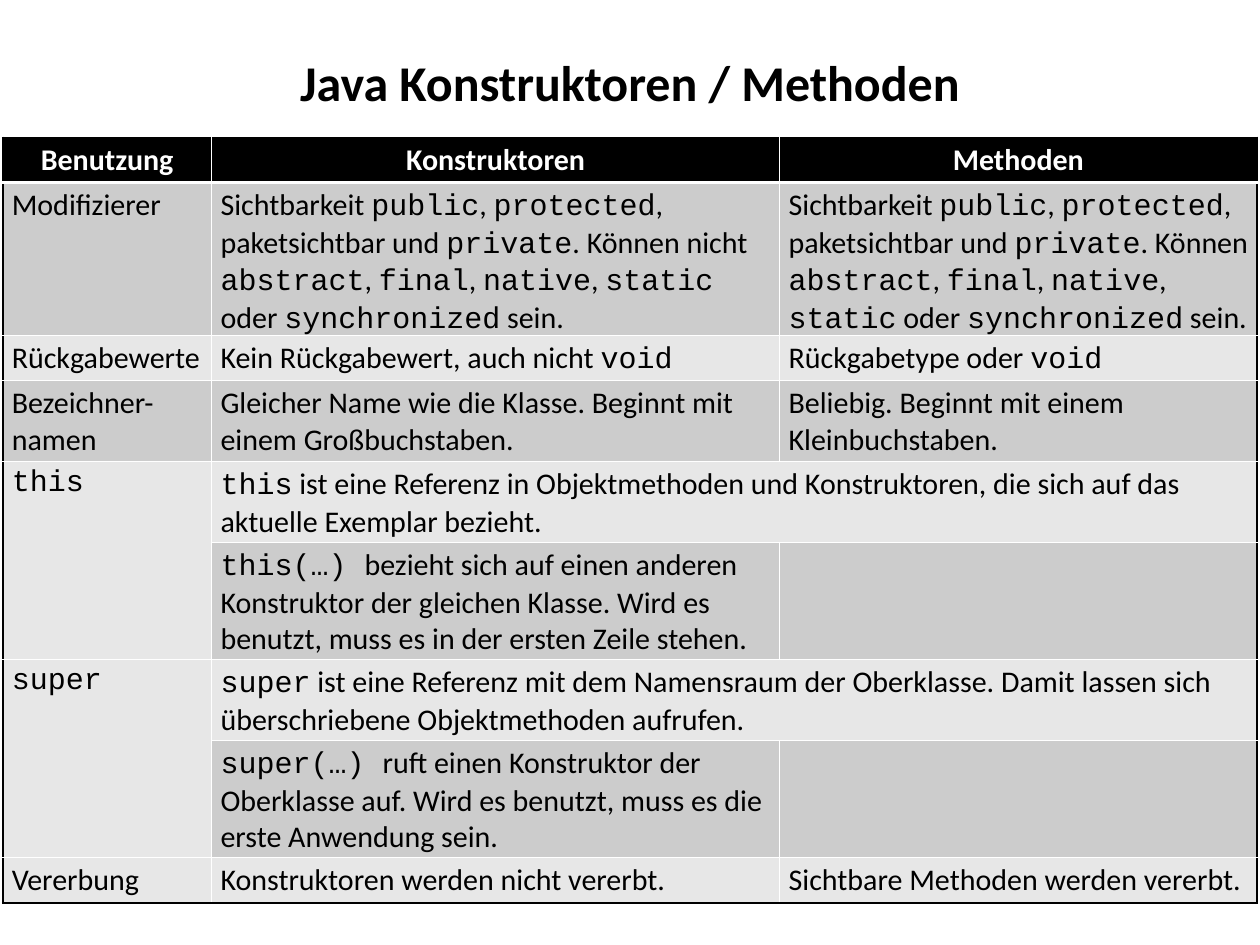
from lxml import etree
from pptx import Presentation
from pptx.dml.color import RGBColor
from pptx.enum.text import MSO_AUTO_SIZE, PP_ALIGN
from pptx.oxml.ns import qn
from pptx.util import Pt

CENTER = PP_ALIGN.CENTER
LEFT = PP_ALIGN.LEFT
FIT_SHAPE = MSO_AUTO_SIZE.SHAPE_TO_FIT_TEXT
BLANK_LAYOUT = 6

COLORS = {
    "black": "000000",
    "white": "FFFFFF",
    "dark_band": "CCCCCC",
    "light_band": "E7E7E7",
}
TEXT_FONT = "Calibri"
CODE_FONT = "Courier New"

TITLE = "Java Konstruktoren / Methoden"
ROWS = [
    ["Benutzung", "Konstruktoren", "Methoden"],
    [
        "Modifizierer",
        "Sichtbarkeit `public`, `protected`, paketsichtbar und `private`. Können nicht "
        "`abstract`, `final`, `native`, `static` oder `synchronized` sein.",
        "Sichtbarkeit `public`, `protected`, paketsichtbar und `private`. Können "
        "`abstract`, `final`, `native`, `static` oder `synchronized` sein.",
    ],
    ["Rückgabewerte", "Kein Rückgabewert, auch nicht `void`", "Rückgabetype oder `void`"],
    [
        "Bezeichner-namen",
        "Gleicher Name wie die Klasse. Beginnt mit einem Großbuchstaben.",
        "Beliebig. Beginnt mit einem Kleinbuchstaben.",
    ],
    [
        "`this`",
        "`this` ist eine Referenz in Objektmethoden und Konstruktoren, "
        "die sich auf das aktuelle Exemplar bezieht.",
        "",
    ],
    [
        "",
        "`this(…) `bezieht sich auf einen anderen Konstruktor der gleichen Klasse. "
        "Wird es benutzt, muss es in der ersten Zeile stehen.",
        "",
    ],
    [
        "`super`",
        "`super` ist eine Referenz mit dem Namensraum der Oberklasse. "
        "Damit lassen sich überschriebene Objektmethoden aufrufen.",
        "",
    ],
    [
        "",
        "`super(…) `ruft einen Konstruktor der Oberklasse auf. "
        "Wird es benutzt, muss es die erste Anwendung sein.",
        "",
    ],
    ["Vererbung", "Konstruktoren werden nicht vererbt.", "Sichtbare Methoden werden vererbt."],
]
KEYWORD_ROWS = (4, 6)
COLUMN_WIDTHS = (167, 454.5, 382)
ROW_HEIGHT = 29.5


def color(name):
    return RGBColor.from_string(COLORS[name])


def add_title(page, left, top, width, height):
    box = page.shapes.add_textbox(Pt(left), Pt(top), Pt(width), Pt(height))
    frame = box.text_frame
    frame.word_wrap = False
    frame.auto_size = FIT_SHAPE
    para = frame.paragraphs[0]
    para.text = TITLE
    para.alignment = CENTER
    para.font.name = TEXT_FONT
    para.font.size = Pt(40)
    para.font.bold = True
    para.font.color.rgb = color("black")


def write_cell(cell, text, is_header):
    para = cell.text_frame.paragraphs[0]
    para.alignment = CENTER if is_header else LEFT
    for index, part in enumerate(text.split("`")):
        if not part:
            continue
        span = para.add_run()
        span.text = part
        span.font.name = CODE_FONT if index % 2 else TEXT_FONT
        span.font.size = Pt(24)
        span.font.bold = is_header
        span.font.color.rgb = color("white" if is_header else "black")


def set_border(cell, side, name, width):
    properties = cell._tc.get_or_add_tcPr()
    line = etree.SubElement(properties, qn(f"a:ln{side}"), w=str(Pt(width)))
    fill = etree.SubElement(line, qn("a:solidFill"))
    etree.SubElement(fill, qn("a:srgbClr"), val=COLORS[name])


def style_cell(cell, row, column):
    outer, inner, header_rule = ("black", 1.5), ("white", 1), ("white", 3)
    last_row = len(ROWS) - 1
    last_column = len(COLUMN_WIDTHS) - 1
    right_column = column + cell.span_width - 1 if cell.is_merge_origin else column
    set_border(cell, "L", *(outer if column == 0 else inner))
    set_border(cell, "R", *(outer if right_column == last_column else inner))
    set_border(cell, "T", *(outer if row == 0 else header_rule if row == 1 else inner))
    set_border(cell, "B", *(outer if row == last_row else header_rule if row == 0 else inner))
    band = "black" if row == 0 else "dark_band" if row % 2 else "light_band"
    cell.fill.solid()
    cell.fill.fore_color.rgb = color(band)


def add_comparison(page, left, top):
    height = ROW_HEIGHT * len(ROWS)
    frame = page.shapes.add_table(
        len(ROWS), len(COLUMN_WIDTHS), Pt(left), Pt(top), Pt(sum(COLUMN_WIDTHS)), Pt(height)
    )
    table = frame.table
    for column, width in zip(table.columns, COLUMN_WIDTHS):
        column.width = Pt(width)
    for row in KEYWORD_ROWS:
        table.cell(row, 0).merge(table.cell(row + 1, 0))
        table.cell(row, 1).merge(table.cell(row, 2))
    for row, texts in enumerate(ROWS):
        table.rows[row].height = Pt(ROW_HEIGHT)
        for column, text in enumerate(texts):
            cell = table.cell(row, column)
            write_cell(cell, text, row == 0)
            style_cell(cell, row, column)


def main():
    deck = Presentation()
    deck.slide_width = Pt(1008)
    deck.slide_height = Pt(756)
    page = deck.slides.add_slide(deck.slide_layouts[BLANK_LAYOUT])
    add_title(page, 230, 37.5, 548, 55.5)
    add_comparison(page, 2.25, 110)
    deck.save("out.pptx")


if __name__ == "__main__":
    main()
